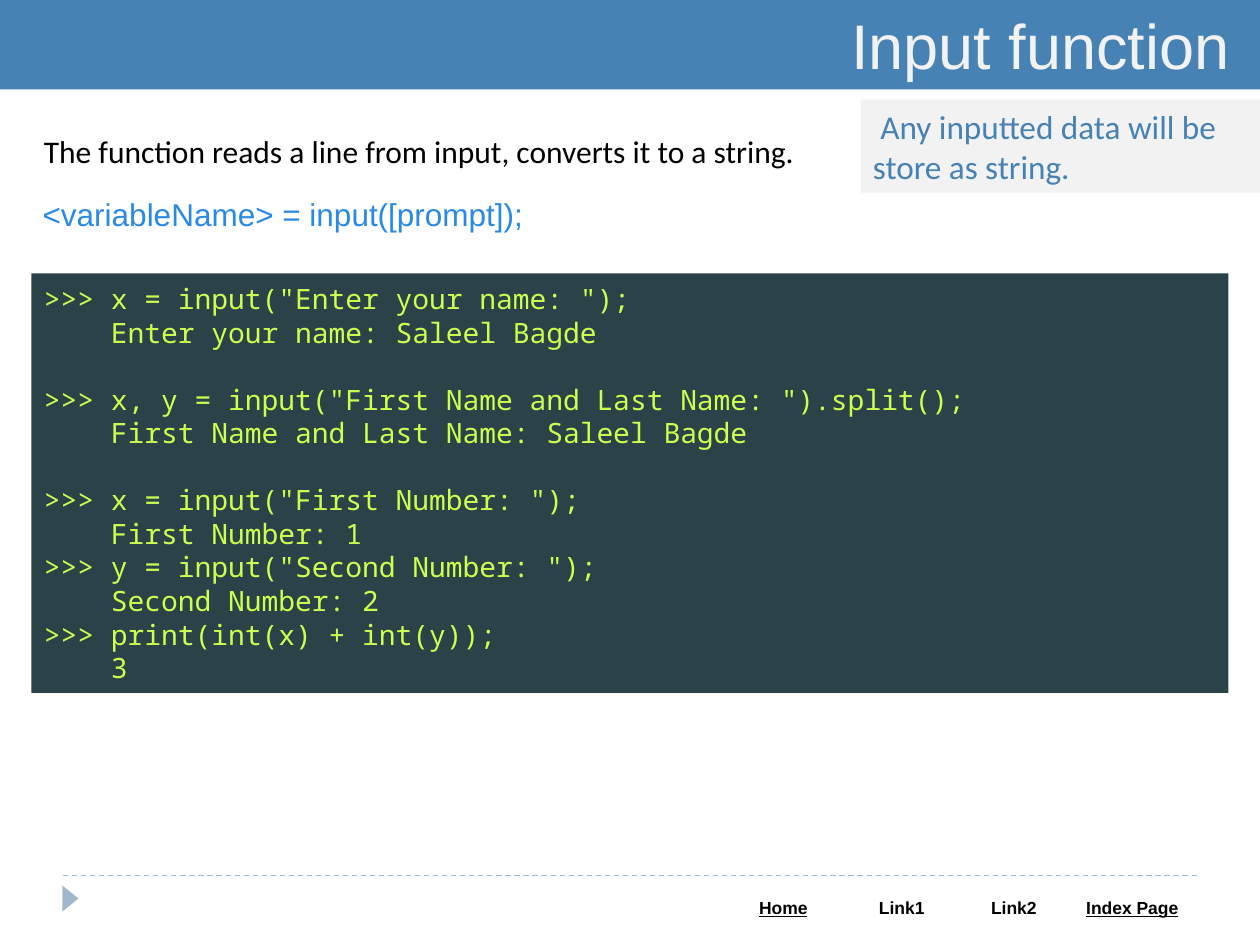
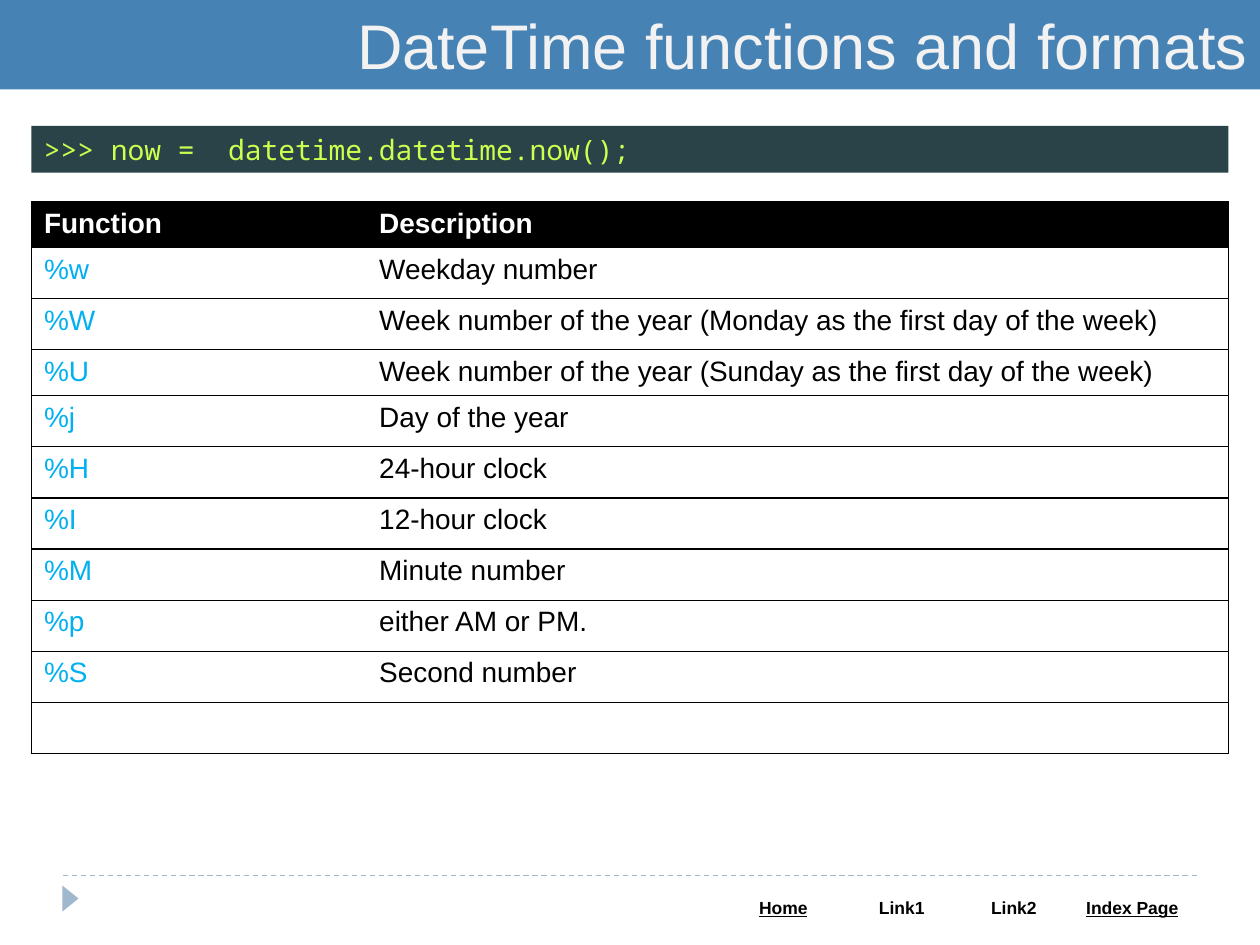
from dataclasses import dataclass

from lxml.etree import SubElement
from pptx import Presentation
from pptx.dml.color import RGBColor
from pptx.enum.dml import MSO_LINE
from pptx.enum.shapes import MSO_CONNECTOR, MSO_SHAPE
from pptx.enum.text import MSO_ANCHOR, PP_ALIGN
from pptx.oxml import parse_xml
from pptx.oxml.ns import nsdecls, qn
from pptx.util import Inches, Pt

COLUMNS, ROWS = 40, 30
CELL = 0.25  # inches per grid column and row

WHITE, BLACK, PALE = "FFFFFF", "000000", "F2F2F2"
STEEL, MIST = "4682B4", "9FB8CD"
CODE_BACK, CODE_TEXT = "294349", "CDFF4F"
SYNTAX_BLUE, FORMAT_BLUE = "298AE5", "00B0F0"
SANS, BODY, MONO = "Arial", "Calibri", "Noto Sans Mono"
CODE_LINE = 19  # points, height of one code line

FOOTER_LINKS = [("Home", True), ("Link1", False), ("Link2", False), ("Index Page", True)]
FOOTER_WIDTHS = [0.94, 0.94, 0.84, 1.04]

INPUT_SESSIONS = [
    ['>>> x = input("Enter your name: ");',
     "    Enter your name: Saleel Bagde"],
    ['>>> x, y = input("First Name and Last Name: ").split();',
     "    First Name and Last Name: Saleel Bagde"],
    ['>>> x = input("First Number: ");',
     "    First Number: 1",
     '>>> y = input("Second Number: ");',
     "    Second Number: 2",
     ">>> print(int(x) + int(y));",
     "    3"],
]

FORMATS = [
    ("Function", "Description"),
    ("%w", "Weekday number"),
    ("%W", "Week number of the year (Monday as the first day of the week)"),
    ("%U", "Week number of the year (Sunday as the first day of the week)"),
    ("%j", "Day of the year"),
    ("%H", "24-hour clock"),
    ("%I", "12-hour clock"),
    ("%M", "Minute number"),
    ("%p", "either AM or PM."),
    ("%S", "Second number"),
    ("", ""),
]
LOW_ROWS = {0, 3}


@dataclass
class Box:
    """A region measured in grid columns and rows."""
    left: float
    top: float
    width: float
    height: float

    def emu(self):
        return [Inches(n * CELL) for n in (self.left, self.top, self.width, self.height)]

    def inner(self, left, top, width, height):
        """A region given as shares of this one."""
        return Box(self.left + left * self.width, self.top + top * self.height,
                   width * self.width, height * self.height)


def rgb(hex_colour):
    return RGBColor.from_string(hex_colour)


def write(paragraph, text, size, colour, font=SANS, bold=False, underline=False,
          align=PP_ALIGN.LEFT, before=0, indent=0):
    if indent:
        paragraph._p.get_or_add_pPr().set("indent", str(Pt(indent)))
    paragraph.alignment = align
    paragraph.space_before = Pt(before)
    run = paragraph.add_run()
    run.text = text
    run.font.size, run.font.name = Pt(size), font
    run.font.bold, run.font.underline = bold, underline
    run.font.color.rgb = rgb(colour)


def add_panel(slide, box, fill, kind=MSO_SHAPE.RECTANGLE):
    panel = slide.shapes.add_shape(kind, *box.emu())
    panel.shadow.inherit = False
    panel.fill.solid()
    panel.fill.fore_color.rgb = rgb(fill)
    panel.line.fill.background()
    panel.text_frame.word_wrap = True
    panel.text_frame.vertical_anchor = MSO_ANCHOR.MIDDLE
    return panel


def add_sentence(slide, box, text, **style):
    frame = slide.shapes.add_textbox(*box.emu()).text_frame
    frame.word_wrap = True
    write(frame.paragraphs[0], text, **style)


def add_title(slide, text, right_inset=0.1):
    frame = add_panel(slide, Box(0, 0, COLUMNS, 2.84), STEEL).text_frame
    frame.margin_right = Inches(right_inset)
    write(frame.paragraphs[0], text, 36, PALE, align=PP_ALIGN.RIGHT)


def add_code(slide, box, sessions):
    """Code panel; each session after the first follows a gap of one line."""
    frame = add_panel(slide, box, CODE_BACK).text_frame
    paragraph = frame.paragraphs[0]
    for session_no, session in enumerate(sessions):
        for line_no, line in enumerate(session):
            if session_no or line_no:
                paragraph = frame.add_paragraph()
            gap = CODE_LINE if session_no and not line_no else 0
            write(paragraph, line, 16, CODE_TEXT, MONO, before=gap)


def add_grid(slide, box, widths, heights):
    table = slide.shapes.add_table(len(heights), len(widths), *box.emu()).table
    table.horz_banding = False
    for column, width in zip(table.columns, widths):
        column.width = Inches(width)
    for row, height in zip(table.rows, heights):
        row.height = Inches(height)
    return table


def paint_cell(cell, fill, **edges):
    """Fill a cell and draw its edges L, R, T, B; an edge not given is clear."""
    cell.fill.solid()
    cell.fill.fore_color.rgb = rgb(fill)
    for position, side in enumerate("LRTB"):
        line = parse_xml(f'<a:ln{side} {nsdecls("a")} w="{Pt(0.75)}"/>')
        if side in edges:
            solid = SubElement(line, qn("a:solidFill"))
            SubElement(solid, qn("a:srgbClr")).set("val", edges[side])
        else:
            SubElement(line, qn("a:noFill"))
        cell._tc.get_or_add_tcPr().insert(position, line)


def add_footer(slide, box):
    arrow = add_panel(slide, box.inner(-0.005, 0.19, 0.023, 0.21), MIST,
                      MSO_SHAPE.ISOSCELES_TRIANGLE)
    arrow.rotation = 90

    left, top, width, _ = box.emu()
    rule = slide.shapes.add_connector(MSO_CONNECTOR.STRAIGHT, left, top, left + width, top)
    rule.line.color.rgb = rgb(MIST)
    rule.line.width = Pt(0.75)
    rule.line.dash_style = MSO_LINE.DASH
    SubElement(rule._element.spPr, qn("a:effectLst"))

    links_box = box.inner(0.583, 0.21, 0.417, 0.44)
    links = add_grid(slide, links_box, FOOTER_WIDTHS, [links_box.height * CELL])
    for cell, (label, underline) in zip(links.rows[0].cells, FOOTER_LINKS):
        paint_cell(cell, WHITE)
        write(cell.text_frame.paragraphs[0], label, 10, BLACK, bold=True,
              underline=underline, align=PP_ALIGN.CENTER)


def add_format_table(slide, box):
    low = 0.365
    total = box.height * CELL
    tall = (total - low * len(LOW_ROWS)) / (len(FORMATS) - len(LOW_ROWS))
    heights = [low if i in LOW_ROWS else tall for i in range(len(FORMATS))]
    name_width = box.width * CELL * 0.28
    table = add_grid(slide, box, [name_width, box.width * CELL - name_width], heights)
    for row_no, (row, texts) in enumerate(zip(table.rows, FORMATS)):
        header = row_no == 0
        colours = (WHITE, WHITE) if header else (FORMAT_BLUE, BLACK)
        for cell, text, colour, side in zip(row.cells, texts, colours, "LR"):
            paint_cell(cell, BLACK if header else WHITE,
                       **{side: BLACK, "T": BLACK, "B": BLACK})
            if text:
                write(cell.text_frame.paragraphs[0], text, 16, colour, bold=header)


def new_slide(deck):
    slide = deck.slides.add_slide(deck.slide_layouts[6])
    add_footer(slide, Box(2, 27.8, 36, 2.46))
    return slide


def build_input_slide(deck):
    slide = new_slide(deck)
    add_code(slide, Box(1, 8.68, 38, 13.32), INPUT_SESSIONS)
    add_title(slide, "Input function", right_inset=0.24)
    note = add_panel(slide, Box(27.32, 3.16, 12.68, 2.96), PALE)
    write(note.text_frame.paragraphs[0], "Any inputted data will be store as string.",
          19, STEEL, BODY, indent=4.3)
    add_sentence(slide, Box(1, 4, 38, 1.6),
                 "The function reads a line from input, converts it to a string.",
                 size=18, colour=BLACK, font=BODY)
    add_sentence(slide, Box(0.96, 6, 38.4, 1.6), "<variableName> = input([prompt]);",
                 size=18, colour=SYNTAX_BLUE)


def build_datetime_slide(deck):
    slide = new_slide(deck)
    add_format_table(slide, Box(1, 6.4, 38, 17.52))
    add_code(slide, Box(1, 4, 38, 1.48), [[">>> now =  datetime.datetime.now();"]])
    add_title(slide, "DateTime functions and formats")


def main():
    deck = Presentation()
    deck.slide_width, deck.slide_height = Inches(COLUMNS * CELL), Inches(ROWS * CELL)
    build_input_slide(deck)
    build_datetime_slide(deck)
    deck.save("out.pptx")


if __name__ == "__main__":
    main()
